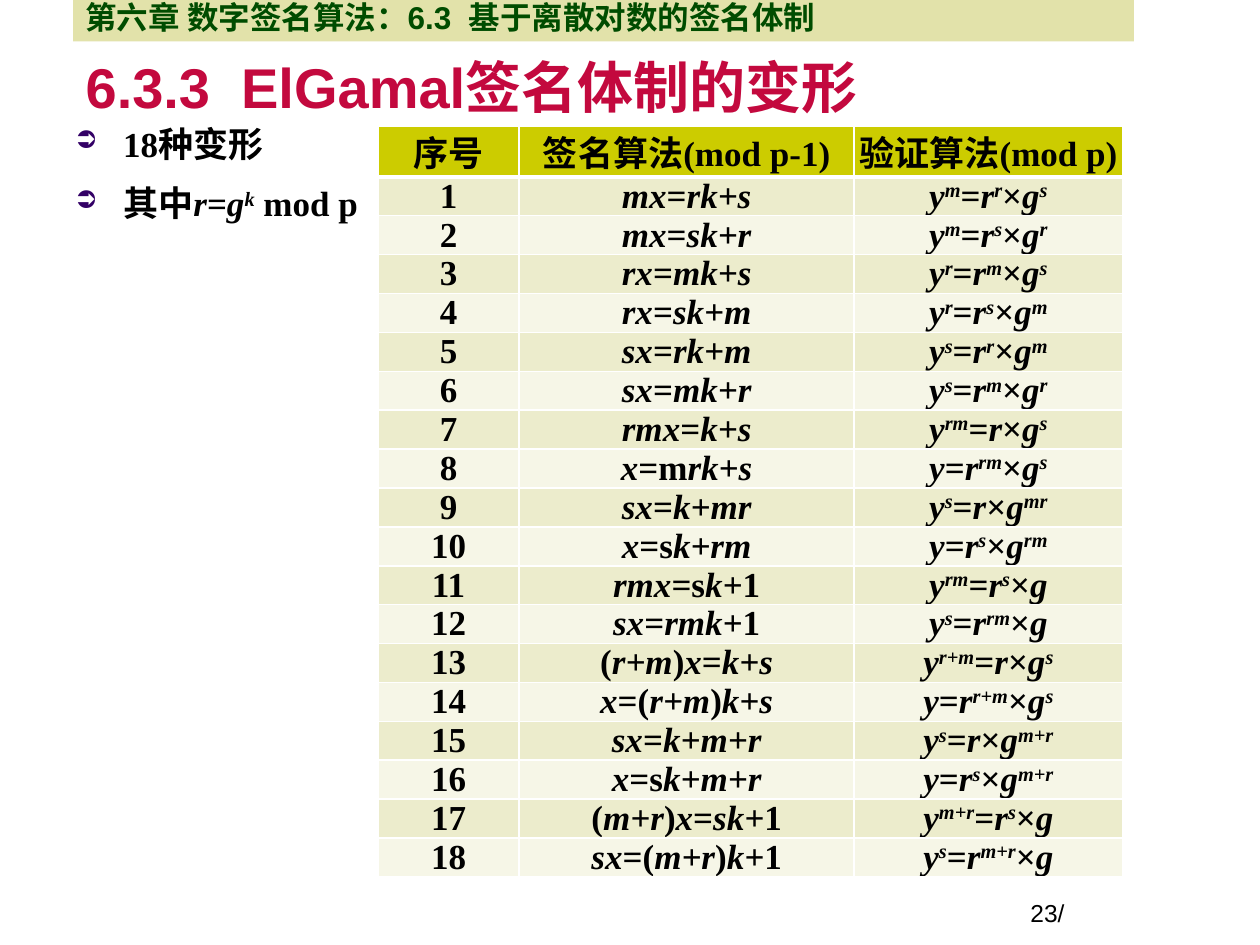
from lxml import etree
from pptx import Presentation, util as u
from pptx.dml.color import RGBColor
from pptx.enum import shapes, text
from pptx.oxml.ns import qn

SERIF = "Times New Roman"
SANS = "Arial"


def add_spans(para, content, size=20, font=SERIF, color="000000", bold=True):
    """Write text in which *...* is italic and ^...^ is superscript."""
    for i, part in enumerate(content.split("*")):
        for j, piece in enumerate(part.split("^")):
            if not piece:
                continue
            span = para.add_run()
            span.text = piece
            span.font.size = u.Pt(size)
            span.font.name = font
            span.font.bold = bold
            span.font.italic = i % 2 == 1
            span.font.color.rgb = RGBColor.from_string(color)
            if j % 2:
                span.font._element.set("baseline", "30000")


def add_node(parent, tag, **attributes):
    return etree.SubElement(parent, qn(tag), attributes)


deck = Presentation()
deck.slide_width, deck.slide_height = u.Inches(10), u.Inches(7.5)
page = deck.slides.add_slide(deck.slide_layouts[5])

# Title
title = page.shapes.title
title.left, title.top = u.Inches(0.58), u.Inches(0.42)
title.width, title.height = u.Inches(8.42), u.Inches(0.58)
frame = title.text_frame
frame.auto_size = text.MSO_AUTO_SIZE.NONE
frame.vertical_anchor = text.MSO_ANCHOR.BOTTOM
frame.paragraphs[0].alignment = text.PP_ALIGN.LEFT
add_spans(frame.paragraphs[0], "6.3.3  ElGamal签名体制的变形",
          size=32, font=SANS, color="C3093E")

# Table of variants: signature equation, then the exponents of y, r and g
variants = [
    ("*mx*=*rk+s*", "m", "r", "s"),
    ("*mx*=*sk+r*", "m", "s", "r"),
    ("*rx*=*mk+s*", "r", "m", "s"),
    ("*rx*=*sk+m*", "r", "s", "m"),
    ("*sx*=*rk+m*", "s", "r", "m"),
    ("*sx*=*mk+r*", "s", "m", "r"),
    ("*rmx*=*k+s*", "rm", "", "s"),
    ("*x*=m*rk+s*", "", "rm", "s"),
    ("*sx*=*k+mr*", "s", "", "mr"),
    ("*x*=s*k+rm*", "", "s", "rm"),
    ("*rmx*=s*k+*1", "rm", "s", ""),
    ("*sx*=*rmk+*1", "s", "rm", ""),
    ("(*r+m*)*x*=*k+s*", "r+m", "", "s"),
    ("*x*=(*r+m*)*k+s*", "", "r+m", "s"),
    ("*sx*=*k+m+r*", "s", "", "m+r"),
    ("*x*=s*k+m+r*", "", "s", "m+r"),
    ("(*m+r*)*x*=*sk+*1", "m+r", "s", ""),
    ("*sx*=(*m+r*)*k+*1", "s", "m+r", ""),
]
rows = [("序号", "签名算法(mod p-1)", "验证算法(mod p)")]
for number, (signature, y, r, g) in enumerate(variants, 1):
    rows.append((str(number), signature, f"*y^{y}^*=*r^{r}^*×*g^{g}^*"))

table = page.shapes.add_table(len(rows), 3, u.Inches(3), u.Inches(1),
                              u.Inches(5.92), u.Inches(5.73)).table
table.horz_banding = False
for column, width in zip(table.columns, (1.12, 2.66, 2.13)):
    column.width = u.Inches(width)

for i, row in enumerate(rows):
    table.rows[i].height = u.Inches(0.3 if i else 0.33)
    fill = ("F6F6E7" if i % 2 == 0 else "ECECCC") if i else "CCCC00"
    for j, content in enumerate(row):
        cell = table.cell(i, j)
        cell.margin_left = cell.margin_right = 0
        cell.margin_top = cell.margin_bottom = 0
        para = cell.text_frame.paragraphs[0]
        para.alignment = text.PP_ALIGN.CENTER
        add_spans(para, content)
        # White borders, heavier around the header's lower edge
        properties = cell._tc.get_or_add_tcPr()
        for side in ("lnL", "lnR", "lnT", "lnB"):
            heavy = (i, side) in ((0, "lnB"), (1, "lnT"))
            line = add_node(properties, f"a:{side}", w=str(u.Pt(3 if heavy else 1)))
            add_node(add_node(line, "a:solidFill"), "a:srgbClr", val="FFFFFF")
        cell.fill.solid()
        cell.fill.fore_color.rgb = RGBColor.from_string(fill)

# Page number
box = page.shapes.add_textbox(u.Inches(8.08), u.Inches(7.08),
                              u.Inches(1.42), u.Inches(0.33))
box.text_frame.word_wrap = True
add_spans(box.text_frame.paragraphs[0], "23/", size=14, font=SANS, bold=False)

# Chapter banner
banner = page.shapes.add_shape(shapes.MSO_SHAPE.RECTANGLE, u.Inches(0.58), 0,
                               u.Inches(8.42), u.Inches(0.33))
banner.shadow.inherit = False
banner.fill.solid()
banner.fill.fore_color.rgb = RGBColor.from_string("E2E2AA")
banner.line.fill.background()
banner.text_frame.vertical_anchor = text.MSO_ANCHOR.BOTTOM
para = banner.text_frame.paragraphs[0]
para.alignment = text.PP_ALIGN.LEFT
add_spans(para, "第六章 数字签名算法：6.3  基于离散对数的签名体制",
          size=18, font=SANS, color="004C00")

# Bullet list
box = page.shapes.add_textbox(u.Inches(0.5), u.Inches(0.92),
                              u.Inches(2.5), u.Inches(6.17))
frame = box.text_frame
frame.word_wrap = True
for i, content in enumerate(("18种变形", "其中*r*=*g^k^* mod p")):
    para = frame.add_paragraph() if i else frame.paragraphs[0]
    para.space_before, para.space_after = u.Pt(8), u.Pt(2)
    properties = para._p.get_or_add_pPr()
    properties.set("marL", str(u.Inches(0.38)))
    properties.set("indent", str(u.Inches(-0.38)))
    add_node(add_node(properties, "a:buClr"), "a:srgbClr", val="330066")
    add_node(properties, "a:buSzPct", val="70000")
    add_node(properties, "a:buChar", char="➲")
    add_spans(para, content)

deck.save("out.pptx")
